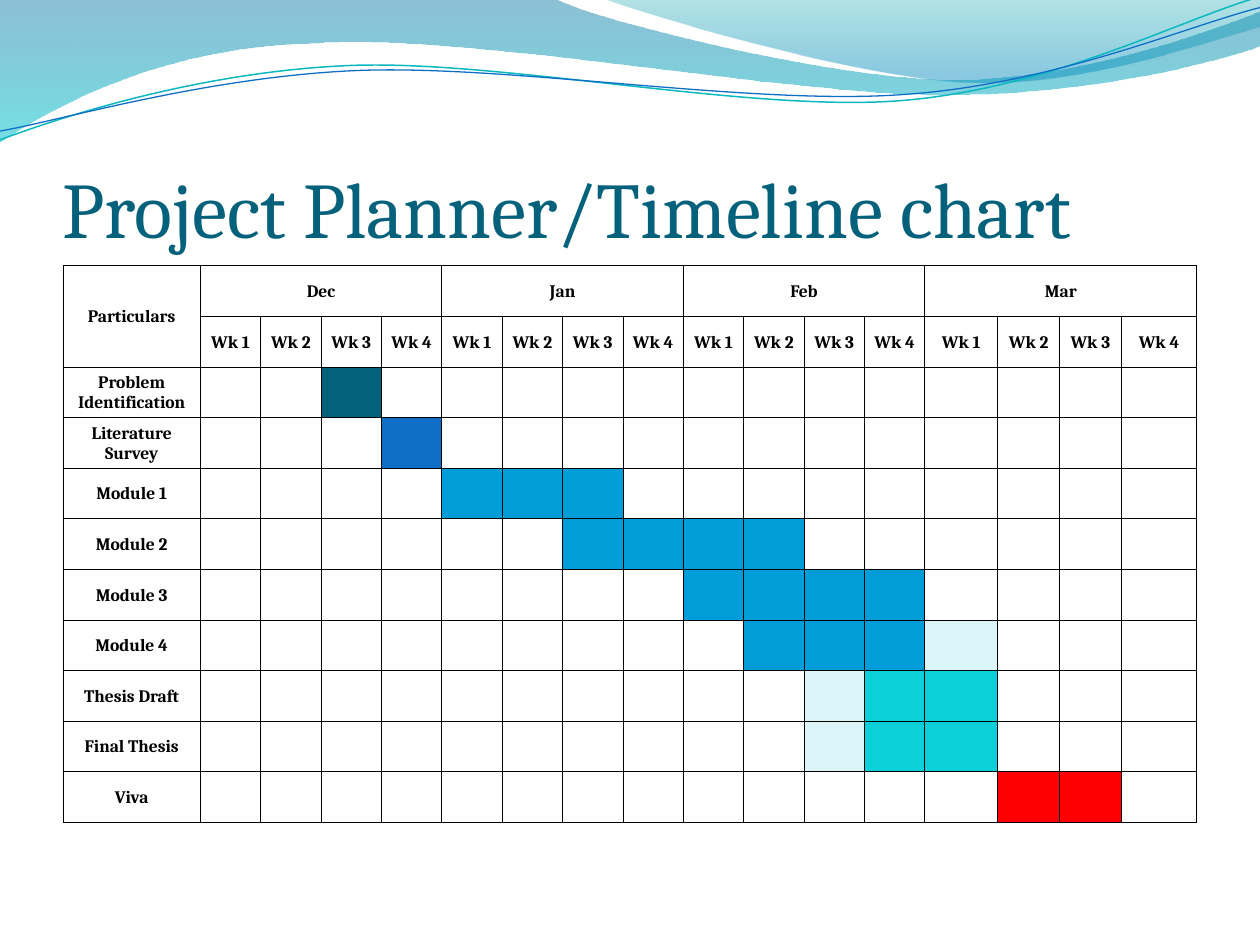
from math import cos, radians, sin

from lxml.etree import SubElement
from pptx import Presentation
from pptx.dml.color import RGBColor
from pptx.enum.text import MSO_ANCHOR, PP_ALIGN
from pptx.oxml import parse_xml
from pptx.oxml.ns import nsdecls, qn
from pptx.util import Pt

PX = 9144
FONT = "Cambria"
BLACK = RGBColor(0x00, 0x00, 0x00)
WHITE = RGBColor(0xFF, 0xFF, 0xFF)
PETROL = RGBColor(0x04, 0x61, 0x7B)
BLUE = RGBColor(0x0F, 0x6F, 0xC6)
SKY = RGBColor(0x00, 0x9D, 0xD9)
CYAN = RGBColor(0x0B, 0xD0, 0xD9)
PALE = RGBColor(0xDB, 0xF5, 0xF9)
RED = RGBColor(0xFF, 0x00, 0x00)
TEAL = RGBColor(0x0A, 0xB8, 0xBF)
WAVE_TOP = RGBColor(0x00, 0x74, 0xA1)
WAVE_BOTTOM = RGBColor(0x00, 0xC6, 0xCF)
CREST_TOP = RGBColor(0x00, 0xA1, 0xA9)
CREST_BOTTOM = RGBColor(0x00, 0x8B, 0xBF)

WAVES = [
    ([(0, 0), (440, -1), (476, 17, 664, 63, 758, 63), (853, 63, 958, 26, 1000, 9),
      (1001, 36), (983, 44, 870, 76, 746, 75), (622, 75, 382, 28, 257, 34),
      (129, 36, 46, 83, -1, 113), (0, 0)],
     [(0, WAVE_TOP, 45), (100, WAVE_BOTTOM, 55)]),
    ([(479, -1), (509, 11, 682, 62, 769, 65), (856, 69, 961, 32, 1000, 21), (1000, 0),
      (479, -1)],
     [(0, CREST_TOP, 30), (80, CREST_BOTTOM, 45)]),
]
STRANDS = [
    ([(0, 111), (48, 93, 158, 57, 277, 52), (395, 47, 593, 89, 713, 80),
      (833, 71, 938, 15, 998, -2)], TEAL, 0.85),
    ([(0, 104), (47, 96, 164, 61, 283, 56), (403, 51, 597, 84, 717, 75),
      (836, 67, 941, 21, 1000, 6)], BLUE, 0.75),
]
STRAND_CENTRE = (499, 58)
STRAND_TILT = -2.7
MONTHS = ["Dec", "Jan", "Feb", "Mar"]
WEEKS = 4
COLUMNS = [109] + [575 / 12] * 12 + [58, 49, 49, 60]
TASKS = [
    ("Problem Identification", [(3, 1, PETROL)]),
    ("Literature Survey", [(4, 1, BLUE)]),
    ("Module 1", [(5, 3, SKY)]),
    ("Module 2", [(7, 4, SKY)]),
    ("Module 3", [(9, 4, SKY)]),
    ("Module 4", [(10, 3, SKY), (13, 1, PALE)]),
    ("Thesis Draft", [(11, 1, PALE), (12, 2, CYAN)]),
    ("Final Thesis", [(11, 1, PALE), (12, 2, CYAN)]),
    ("Viva", [(14, 2, RED)]),
]


def set_attrs(obj, values):
    """Set each named attribute of an object."""
    for name, value in values.items():
        setattr(obj, name, value)


def turn(point, tilt):
    """Turn a point back around the strand centre by the tilt."""
    (cx, cy), angle = STRAND_CENTRE, radians(-tilt)
    dx, dy = point[0] - cx, point[1] - cy
    return cx + dx * cos(angle) - dy * sin(angle), cy + dx * sin(angle) + dy * cos(angle)


def add_outline(s, x, y, segments, close, tilt=0):
    """Add a freeform of straight and cubic segments relative to a corner."""
    pairs = [turn(seg[i:i + 2], tilt) for seg in segments for i in range(0, len(seg), 2)]
    points = [(round((x + a) * PX), round((y + b) * PX)) for a, b in pairs]
    builder = s.shapes.build_freeform(*points[0], scale=1.0)
    builder.add_line_segments(points[1:], close=close)
    sp = builder.convert_to_shape()
    lines = iter(list(sp._element.spPr.iter(qn("a:lnTo"))))
    for seg in segments[1:]:
        line = next(lines)
        if len(seg) == 6:
            line.tag = qn("a:cubicBezTo")
            for _ in range(2):
                extra = next(lines)
                line.append(extra[0])
                extra.getparent().remove(extra)
    sp.rotation = tilt
    sp.shadow.inherit = False
    return sp


def add_header(s, x, y):
    """Draw the shaded waves and the two thin strands."""
    for segments, stops in WAVES:
        sp = add_outline(s, x, y, segments, True)
        sp.line.fill.background()
        sp.fill.gradient()
        sp.fill.gradient_angle = 270
        for stop, (position, color, alpha) in zip(sp.fill.gradient_stops, stops):
            stop.color.rgb = color
        for gs, (position, color, alpha) in zip(sp._element.spPr.iter(qn("a:gs")), stops):
            gs.set("pos", str(position * 1000))
            SubElement(gs[0], qn("a:alpha")).set("val", str(alpha * 1000))
    for segments, color, width in STRANDS:
        sp = add_outline(s, x, y, segments, False, STRAND_TILT)
        sp.fill.background()
        sp.line.color.rgb = color
        sp.line.width = Pt(width)


def write(tf, text, size, color, bold, align):
    """Write one formatted paragraph into a text frame."""
    p = tf.paragraphs[0]
    p.alignment = align
    r = p.add_run()
    r.text = text
    set_attrs(r.font, {"name": FONT, "size": Pt(size), "bold": bold})
    r.font.color.rgb = color


def add_title(s, x, y, w, h):
    """Place the slide title at the bottom of its box."""
    tf = s.shapes.add_textbox(x * PX, y * PX, w * PX, h * PX).text_frame
    set_attrs(tf, {"word_wrap": True, "vertical_anchor": MSO_ANCHOR.BOTTOM,
                   "margin_left": 0, "margin_right": 0, "margin_top": 5 * PX,
                   "margin_bottom": 0})
    write(tf, "Project Planner/Timeline chart", 45, PETROL, False, PP_ALIGN.LEFT)


def style_cell(cell):
    """Give a cell its margins, white fill and thin black border."""
    set_attrs(cell, {"vertical_anchor": MSO_ANCHOR.MIDDLE, "margin_left": PX,
                     "margin_right": PX, "margin_top": PX, "margin_bottom": 0})
    cell.fill.solid()
    cell.fill.fore_color.rgb = WHITE
    for i, side in enumerate("LRTB"):
        cell._tc.get_or_add_tcPr().insert(i, parse_xml(
            f'<a:ln{side} {nsdecls("a")} w="{Pt(0.5)}"><a:solidFill>'
            f'<a:srgbClr val="{BLACK}"/></a:solidFill></a:ln{side}>'))


def add_timeline(s, x, y, w, h):
    """Build the planner table with months, weeks and coloured bars."""
    rows = len(TASKS) + 2
    table = s.shapes.add_table(rows, len(COLUMNS), x * PX, y * PX, w * PX, h * PX).table
    set_attrs(table, {"first_row": False, "horz_banding": False})
    for column, width in zip(table.columns, COLUMNS):
        column.width = round(width * PX)
    for row in table.rows:
        row.height = h * PX // rows
    for cell in table.iter_cells():
        style_cell(cell)

    labels = {(0, 0): "Particulars"}
    table.cell(0, 0).merge(table.cell(1, 0))
    for m, month in enumerate(MONTHS):
        first = 1 + m * WEEKS
        table.cell(0, first).merge(table.cell(0, first + WEEKS - 1))
        labels[0, first] = month
        for week in range(WEEKS):
            labels[1, first + week] = f"Wk {week + 1}"
    for row, (task, bars) in enumerate(TASKS, 2):
        labels[row, 0] = task
        for start, length, color in bars:
            for column in range(start, start + length):
                table.cell(row, column).fill.fore_color.rgb = color
    for (row, column), text in labels.items():
        write(table.cell(row, column).text_frame, text, 10, BLACK, True, PP_ALIGN.CENTER)


def main():
    """Build and save the slide."""
    prs = Presentation()
    set_attrs(prs, {"slide_width": 1000 * PX, "slide_height": 750 * PX})
    s = prs.slides.add_slide(prs.slide_layouts[6])
    add_header(s, 0, 0)
    add_title(s, 50, 77, 900, 125)
    add_timeline(s, 50, 211, 900, 442)
    prs.save("out.pptx")


if __name__ == "__main__":
    main()
